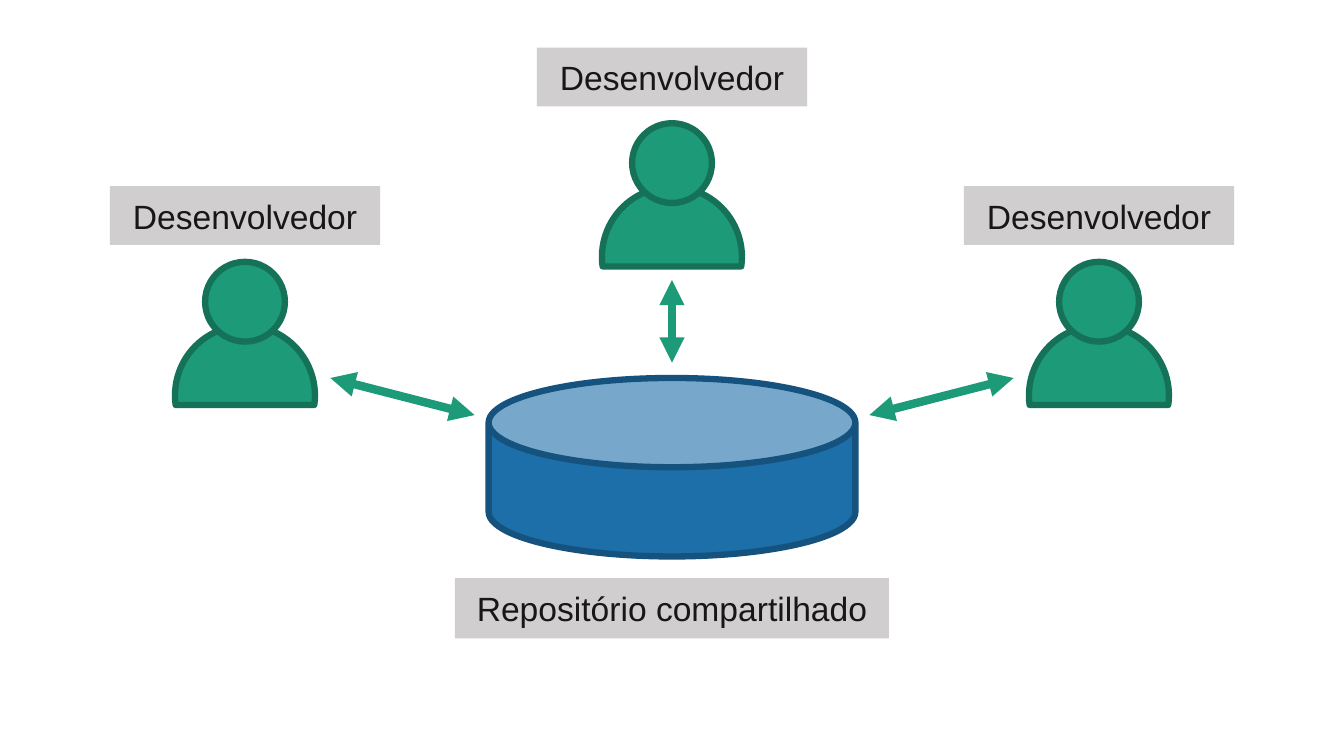
from pptx import Presentation
from pptx.dml.color import RGBColor
from pptx.enum.shapes import MSO_CONNECTOR, MSO_SHAPE
from pptx.enum.text import MSO_ANCHOR, PP_ALIGN
from pptx.oxml.ns import qn
from pptx.util import Pt
from lxml import etree

CAN, CHORD, OVAL, RECT = (MSO_SHAPE.CAN, MSO_SHAPE.CHORD,
                          MSO_SHAPE.OVAL, MSO_SHAPE.RECTANGLE)
LINE = MSO_CONNECTOR.STRAIGHT
MIDDLE, CENTER = MSO_ANCHOR.MIDDLE, PP_ALIGN.CENTER
GREEN, PINE = "1D9A78", "157259"
BLUE, NAVY = "1D6FA9", "15527D"
GRAY, INK = "D0CECE", "181717"
WIDE, HIGH = 960, 540
MID = WIDE / 2


def color(code):
    """Turn a hex string into a colour."""
    return RGBColor.from_string(code)


def add_form(shapes, kind, box, fill, edge=None):
    """Add a filled shape, outlined when an edge colour is given."""
    form = shapes.add_shape(kind, *map(Pt, box))
    form.shadow.inherit = False
    form.fill.solid()
    form.fill.fore_color.rgb = color(fill)
    if edge:
        form.line.color.rgb = color(edge)
        form.line.width = Pt(4.5)
    else:
        form.line.fill.background()
    return form


def add_label(shapes, box, text):
    """Add a gray label with centred text."""
    frame = add_form(shapes, RECT, box, GRAY).text_frame
    frame.text = text
    frame.word_wrap = True
    frame.vertical_anchor = MIDDLE
    para = frame.paragraphs[0]
    para.alignment = CENTER
    font = para.runs[0].font
    font.name, font.size = "Arial", Pt(24)
    font.color.rgb = color(INK)


def add_person(shapes, left, top, width):
    """Add a labelled developer figure in a column."""
    mid = left + width / 2
    add_label(shapes, (left, top, width, 42), "Desenvolvedor")
    group = shapes.add_group_shape().shapes
    body = add_form(group, CHORD, (mid - 50, top + 99.5, 100, 100), GREEN, PINE)
    body.adjustments[0], body.adjustments[1] = 103.3, 4.7
    add_form(group, OVAL, (mid - 28.5, top + 54, 57, 57), GREEN, PINE)


def add_store(shapes, left, top, width):
    """Add the shared repository with its label below."""
    can = add_form(shapes, CAN, (left + 24, top, width - 48, 127.5), BLUE, NAVY)
    can.adjustments[0] = 0.5
    add_label(shapes, (left, top + 143, width, 43), "Repositório compartilhado")


def add_arrow(shapes, *ends):
    """Add a thick arrow with a head at both ends."""
    arrow = shapes.add_connector(LINE, *map(Pt, ends))
    arrow.line.color.rgb = color(GREEN)
    arrow.line.width = Pt(6)
    line = arrow.line._get_or_add_ln()
    for tag in ("a:headEnd", "a:tailEnd"):
        etree.SubElement(line, qn(tag)).set("type", "triangle")
    etree.SubElement(arrow._element.spPr, qn("a:effectLst"))


def main():
    """Build and save the slide."""
    deck = Presentation()
    deck.slide_width, deck.slide_height = Pt(WIDE), Pt(HIGH)
    shapes = deck.slides.add_slide(deck.slide_layouts[6]).shapes
    add_store(shapes, MID - 155, 270, 310)
    for shift, top in ((-305, 133), (0, 34), (305, 133)):
        add_person(shapes, MID + shift - 96.5, top, 193)
    add_arrow(shapes, MID, 200, MID, 259)
    for side in (-1, 1):
        add_arrow(shapes, MID + side * 244, 270, MID + side * 141, 296.5)
    deck.save("out.pptx")


main()
